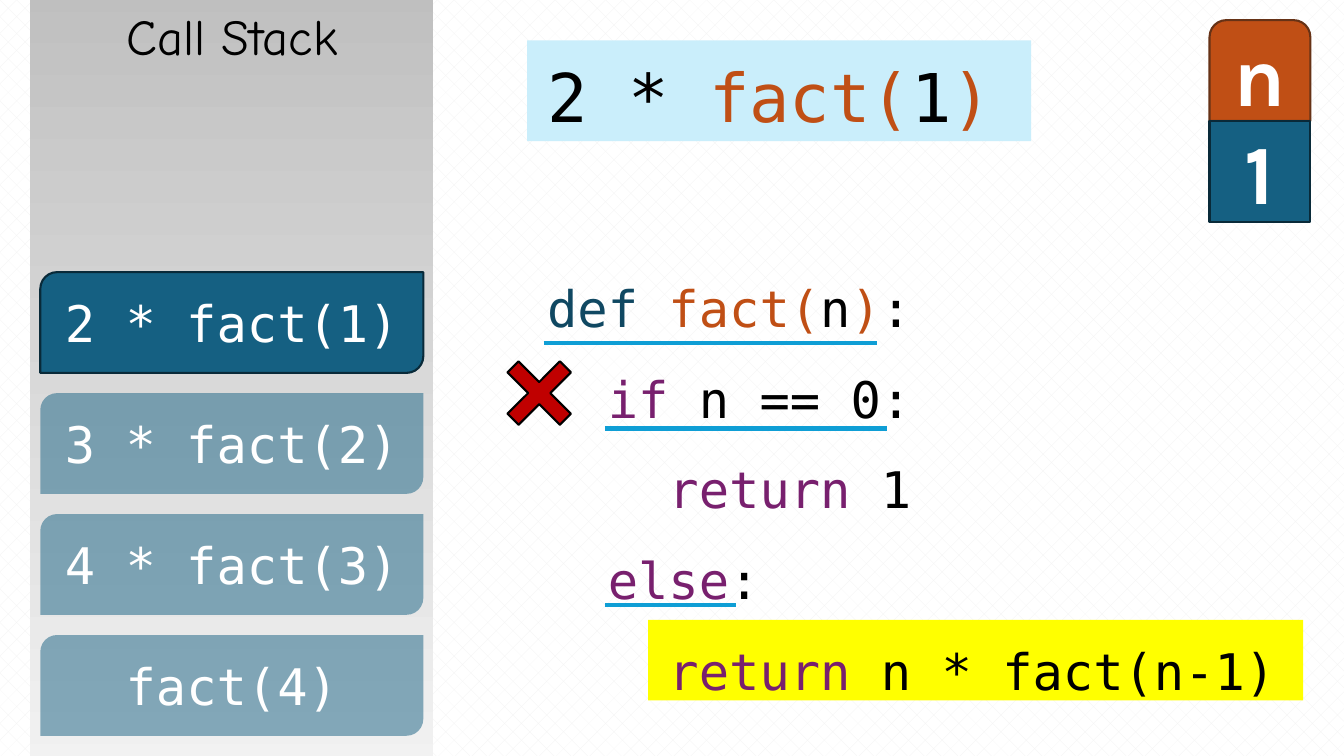
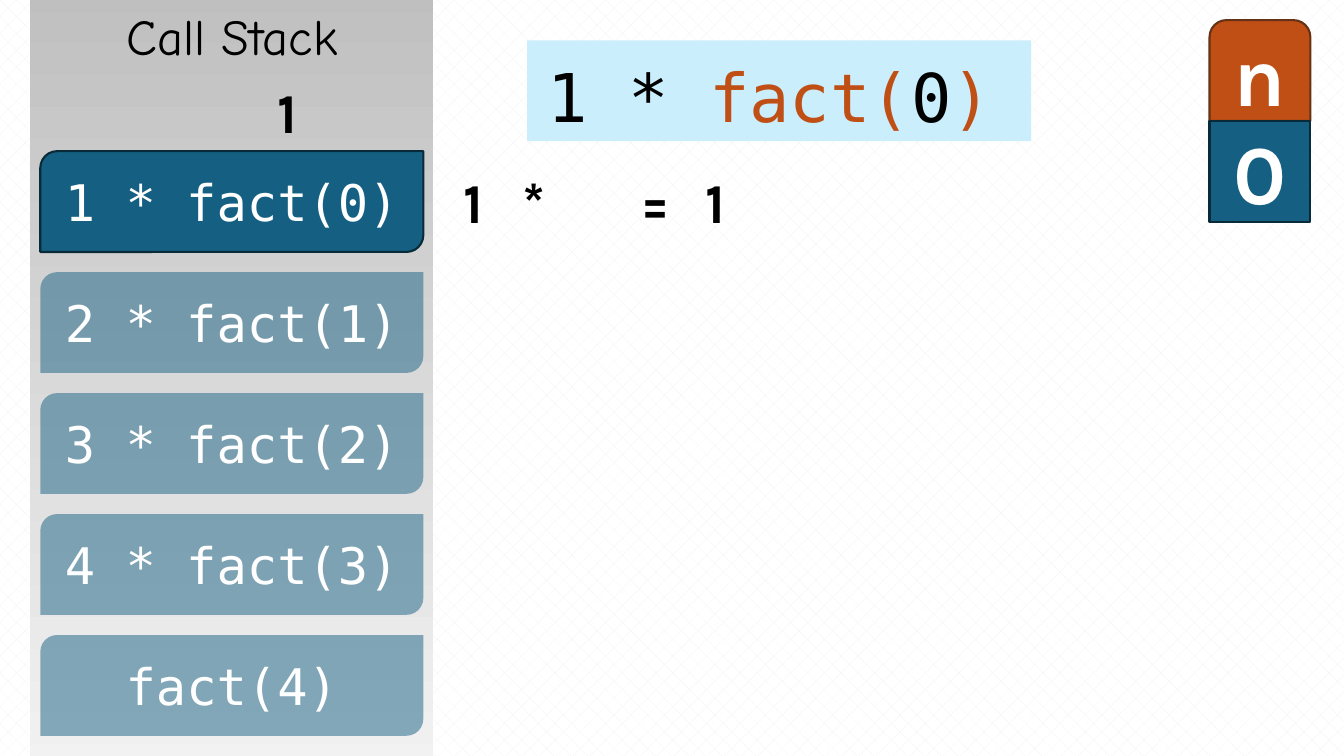
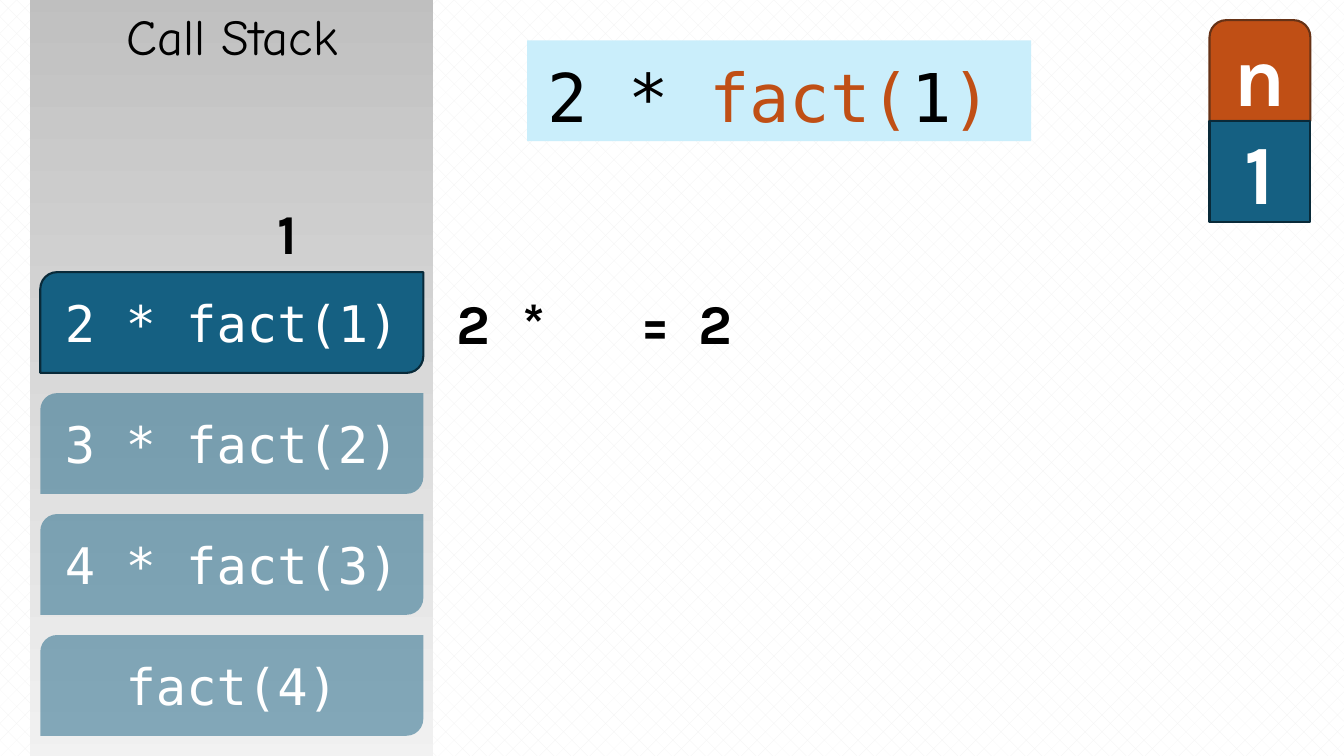
from math import factorial

from lxml import etree
from pptx import Presentation
from pptx.dml.color import RGBColor
from pptx.enum.dml import MSO_PATTERN
from pptx.enum.shapes import MSO_CONNECTOR, MSO_SHAPE
from pptx.enum.text import MSO_ANCHOR, PP_ALIGN
from pptx.oxml.ns import qn
from pptx.util import Pt

RECTANGLE = MSO_SHAPE.RECTANGLE
FRAME_SHAPE = MSO_SHAPE.ROUND_2_DIAG_RECTANGLE
TAB_SHAPE = MSO_SHAPE.ROUND_2_SAME_RECTANGLE
CROSS = MSO_SHAPE.MATH_MULTIPLY
STRAIGHT = MSO_CONNECTOR.STRAIGHT
DOTTED_DIAMOND = MSO_PATTERN.DOTTED_DIAMOND
TOP, MIDDLE = MSO_ANCHOR.TOP, MSO_ANCHOR.MIDDLE
LEFT, CENTER = PP_ALIGN.LEFT, PP_ALIGN.CENTER

color = RGBColor.from_string
BLACK, WHITE = "000000", "FFFFFF"
BLUE, DARK_BLUE = "156082", "092A39"
ORANGE, DARK_ORANGE = "C04F15", "663216"
PURPLE, NAVY, UNDERLINE = "78206E", "104862", "0F9ED5"
TITLE_FONT, CODE_FONT, VALUE_FONT = "Comic Neue", "DejaVu Sans Mono", "Karla"

FRAME_LEFT, FRAME_BOTTOM_TOP, FRAME_STEP = 28.8, 453.6, 86.4
FRAME_WIDTH, FRAME_HEIGHT = 273.6, 72
VALUE_LEFT, VALUE_WIDTH = 316.8, 43.2
CODE_INDENT = 43.34

CALLS = ["fact(4)", "4 * fact(3)", "3 * fact(2)", "2 * fact(1)", "1 * fact(0)"]
CODE = [
    (0, [("def ", NAVY), ("fact(", ORANGE), ("n", BLACK), (")", ORANGE), (":", BLACK)]),
    (1, [("if", PURPLE), (" n == 0:", BLACK)]),
    (2, [("return", PURPLE), (" 1", BLACK)]),
    (1, [("else", PURPLE), (":", BLACK)]),
    (2, [("return", PURPLE), (" n * fact(n-1)", BLACK)]),
]
CODE_UNDERLINES = [(388.8, 626.4, 244.8), (432, 633.6, 306), (432, 525.6, 432)]


def add_box(shapes, kind, at, fill=None, line=None):
    box = [Pt(length) for length in at]
    if kind is None:
        return shapes.add_textbox(*box)
    shape = shapes.add_shape(kind, *box)
    shape.shadow.inherit = False
    if fill:
        shape.fill.solid()
        shape.fill.fore_color.rgb = color(fill)
    if line:
        shape.line.color.rgb = color(line)
        shape.line.width = Pt(1.5)
    else:
        shape.line.fill.background()
    return shape


def write(shape, lines, font, size, align=CENTER, anchor=MIDDLE, bold=False, spacing=None):
    frame = shape.text_frame
    frame.word_wrap = True
    frame.vertical_anchor = anchor
    for number, (indent, pieces) in enumerate(lines):
        paragraph = frame.add_paragraph() if number else frame.paragraphs[0]
        paragraph.alignment = align
        paragraph.line_spacing = spacing
        paragraph.font.name = font
        paragraph.font.size = Pt(size)
        paragraph.font.bold = bold
        if indent:
            paragraph._p.get_or_add_pPr().set("marL", str(Pt(indent * CODE_INDENT)))
        for text, text_color in pieces:
            run = paragraph.add_run()
            run.text = text
            run.font.color.rgb = color(text_color)


presentation = Presentation()
presentation.slide_width = Pt(960)
presentation.slide_height = Pt(540)
layout = presentation.slide_layouts[6]
for placeholder in list(layout.placeholders):
    layout.shapes.element.remove(placeholder.element)

background = layout.background.fill
background.patterned()
background.pattern = DOTTED_DIAMOND
background.fore_color.rgb = color("F2F2F2")
background.back_color.rgb = color(WHITE)

slides = [presentation.slides.add_slide(layout) for _ in range(3)]

panel = add_box(slides[0].shapes, RECTANGLE, (21.6, -14.4, 288, 568.8))
panel.fill.gradient()
panel.fill.gradient_angle = 270
for stop, position, shade in zip(panel.fill.gradient_stops, (0, 1), ("BFBFBF", "F2F2F2")):
    stop.position = position
    stop.color.rgb = color(shade)
title = add_box(slides[0].shapes, None, (7.2, 0, 316.8, 50.4))
write(title, [(0, [("Call Stack", BLACK)])], TITLE_FONT, 36, anchor=TOP)
for shared in (panel, title):
    layout.shapes.element.append(shared.element)

for slide, n, returning in zip(slides, (1, 0, 1), (False, True, True)):
    shapes = slide.shapes
    factor = n + 1
    active = 4 - n
    active_top = FRAME_BOTTOM_TOP - active * FRAME_STEP

    for level, call in enumerate(CALLS[:active + 1]):
        top = FRAME_BOTTOM_TOP - level * FRAME_STEP
        outline = DARK_BLUE if level == active else None
        frame_box = add_box(shapes, FRAME_SHAPE, (FRAME_LEFT, top, FRAME_WIDTH, FRAME_HEIGHT), BLUE, outline)
        if level < active:
            fill_color = frame_box.element.find(".//" + qn("a:srgbClr"))
            etree.SubElement(fill_color, qn("a:alpha"), val="50000")
        write(frame_box, [(0, [(call, WHITE)])], CODE_FONT, 36)

    add_box(shapes, RECTANGLE, (376.56, 28.8, 360, 72), "CAEEFB")
    expression = add_box(shapes, None, (383.76, 36, 480.96, 65.52))
    pieces = [(f"{factor} * ", BLACK), ("fact(", ORANGE), (str(n), BLACK), (")", ORANGE)]
    write(expression, [(0, pieces)], CODE_FONT, 48, LEFT, TOP)

    if returning:
        values = [(str(factorial(n)), 183.6, active_top - 64.8)]
        for column, text in ((0, str(factor)), (1, "*"), (3, "="), (4, str(factorial(factor)))):
            values.append((text, VALUE_LEFT + column * VALUE_WIDTH, active_top))
        for text, left, top in values:
            value = add_box(shapes, None, (left, top, VALUE_WIDTH, FRAME_HEIGHT))
            write(value, [(0, [(text, BLACK)])], VALUE_FONT, 40, bold=True)
    else:
        add_box(shapes, RECTANGLE, (462.96, 442.8, 468, 57.6), "FFFF00")
        code = add_box(shapes, None, (383.76, 172.8, 576, 324))
        write(code, CODE, CODE_FONT, 36, LEFT, TOP, spacing=1.5)
        for start, end, height in CODE_UNDERLINES:
            underline = shapes.add_connector(STRAIGHT, Pt(start), Pt(height), Pt(end), Pt(height))
            underline.line.color.rgb = color(UNDERLINE)
            underline.line.width = Pt(3)
            etree.SubElement(underline.element.find(qn("p:spPr")), qn("a:effectLst"))
        cross = add_box(shapes, CROSS, (349.2, 244.8, 72, 72), "C00000", BLACK)
        cross.adjustments[0] = 0.155

    variable = shapes.add_group_shape()
    for kind, top, text, fill, line in (
        (TAB_SHAPE, 14.4, "n", ORANGE, DARK_ORANGE),
        (RECTANGLE, 86.4, str(n), BLUE, DARK_BLUE),
    ):
        tile = add_box(variable.shapes, kind, (864, top, 72, 72), fill, line)
        write(tile, [(0, [(text, WHITE)])], VALUE_FONT, 60, bold=True)

presentation.save("out.pptx")
